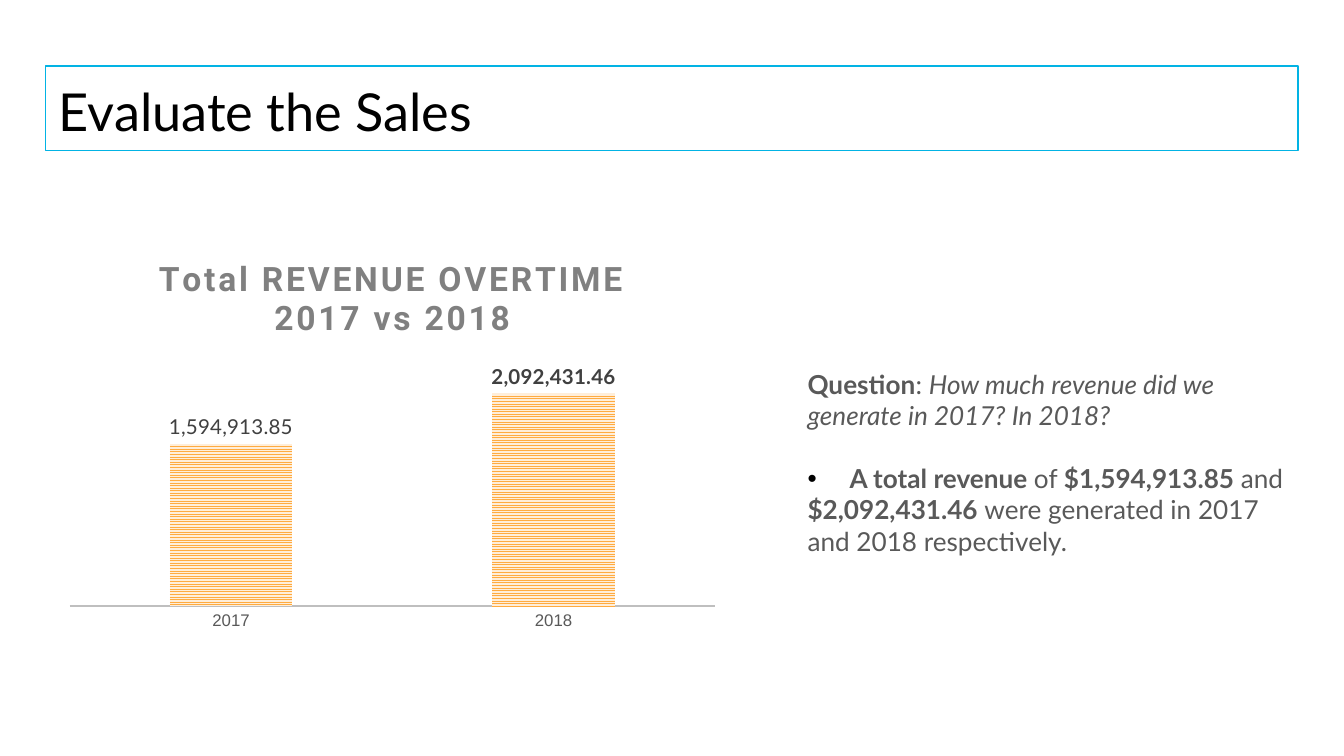
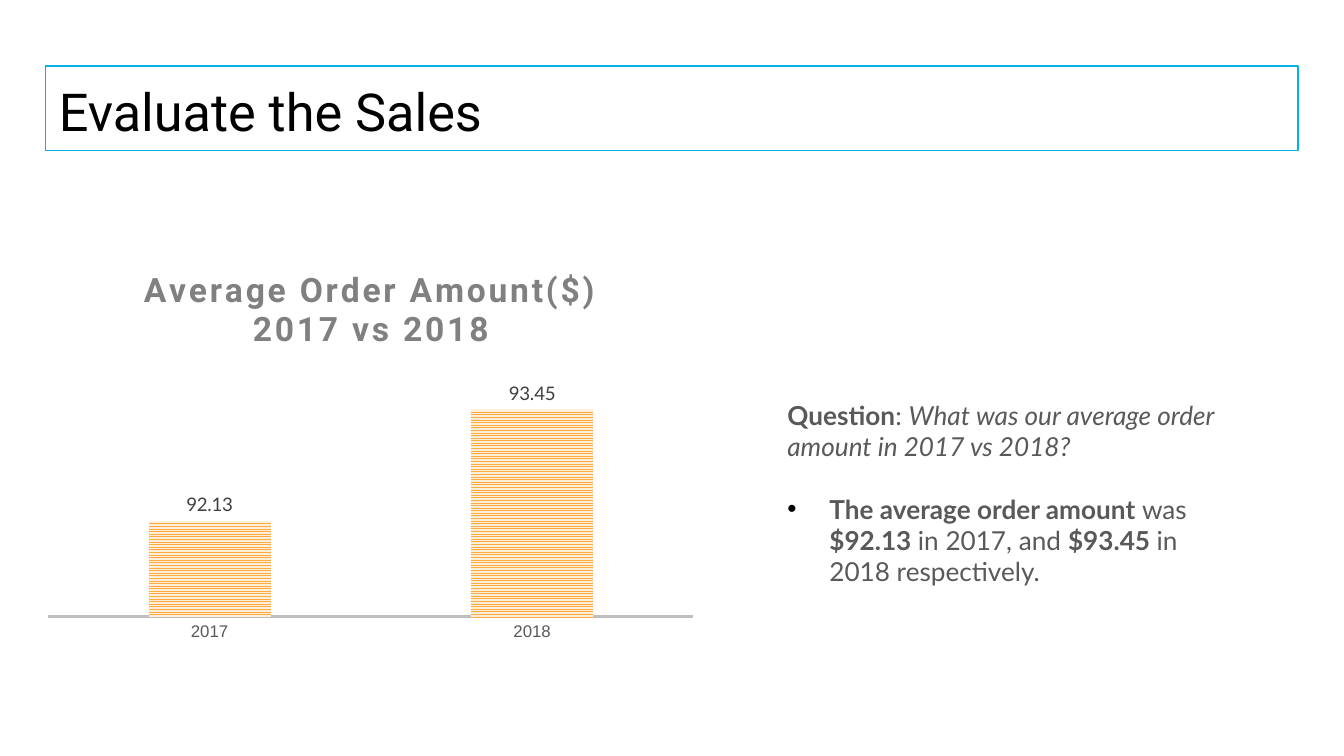
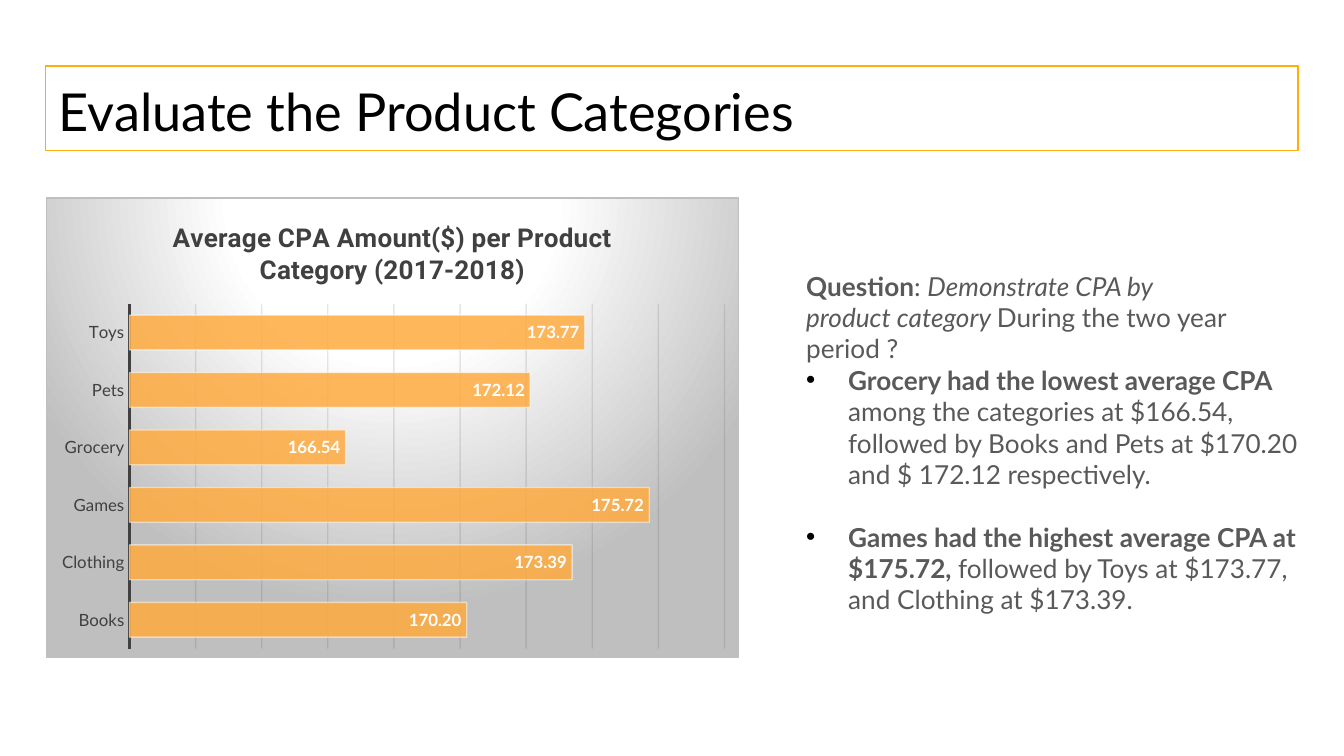
"""Build three sales review slides, each with a framed title, a chart and a comment."""
from lxml.etree import SubElement
from pptx import Presentation
from pptx.chart.data import CategoryChartData
from pptx.dml.color import RGBColor
from pptx.enum.chart import XL_CHART_TYPE, XL_LABEL_POSITION, XL_TICK_LABEL_POSITION, XL_TICK_MARK
from pptx.enum.dml import MSO_PATTERN
from pptx.enum.shapes import MSO_SHAPE
from pptx.enum.text import MSO_ANCHOR, PP_ALIGN
from pptx.oxml import parse_xml
from pptx.oxml.ns import nsdecls, qn
from pptx.util import Pt

BLACK = RGBColor(0x00, 0x00, 0x00)
WHITE = RGBColor(0xFF, 0xFF, 0xFF)
DARK = RGBColor(0x40, 0x40, 0x40)
TEXT = RGBColor(0x59, 0x59, 0x59)
GREY = RGBColor(0x80, 0x80, 0x80)
SILVER = RGBColor(0xBF, 0xBF, 0xBF)
GRID = RGBColor(0x0D, 0x0D, 0x0D)
BLUE = RGBColor(0x02, 0xB3, 0xE4)
GOLD = RGBColor(0xFF, 0xAE, 0x0C)
ORANGE = RGBColor(0xFF, 0xAB, 0x40)
CREAM = RGBColor(0xFF, 0xEE, 0xD9)

FRAME = (24.5, 35.3, 671, 45.4)
FORMAT = "#,##0.00"
GAP = 16.8
INDENT = 22.5

COLUMN = dict(kind=XL_CHART_TYPE.COLUMN_CLUSTERED, gap=164, overlap=-22, spot=XL_LABEL_POSITION.OUTSIDE_END,
              label=dict(font="Lato", color=DARK), axis=dict(font="Arial", color=TEXT), line=SILVER,
              head=dict(font="Roboto", size=18, color=GREY, bold=True, track=150))
BAR = dict(kind=XL_CHART_TYPE.BAR_CLUSTERED, gap=65, overlap=0, spot=XL_LABEL_POSITION.INSIDE_END,
           label=dict(font="Lato", size=9, color=WHITE, bold=True), axis=dict(font="Lato", color=DARK), line=DARK,
           head=dict(font="Roboto", size=14, color=DARK, bold=True))

SLIDES = [
    dict(title="Evaluate the Sales", font="Lato", edge=BLUE, style=COLUMN,
         chart="Total REVENUE OVERTIME 2017 vs 2018", area=(30.2, 126, 360, 216), plot=(0.02, 0.29, 0.96, 0.63),
         data={"2017": 1594913.85, "2018": 2092431.46}, scale=(0, 2500000, 500000), size=11, strong=1,
         box=(425.5, 193.7, 270, 108.7),
         note=[dict(runs=[("Question", "b"), (": ", ""), ("How much revenue did we generate in 2017? In 2018?", "i")]),
               dict(runs=[("A total revenue ", "b"), ("of ", ""), ("$1,594,913.85 ", "b"), ("and", "")],
                    bullet=True, before=GAP),
               dict(runs=[("$2,092,431.46 ", "b"), ("were generated in 2017 and 2018 respectively.", "")])]),
    dict(title="Evaluate the Sales", font="Roboto", edge=BLUE, style=COLUMN,
         chart="Average Order Amount($) 2017 vs 2018", area=(18.7, 131.8, 360, 216), plot=(0.02, 0.29, 0.96, 0.63),
         data={"2017": 92.13, "2018": 93.45}, scale=(91, 94, 0.5), size=10, strong=None,
         box=(414.7, 210.2, 257.8, 108.7),
         note=[dict(runs=[("Question", "b"), (": ", ""), ("What was our average order amount in 2017 vs 2018?", "i")]),
               dict(runs=[("The average order amount ", "b"), ("was ", ""), ("$92.13 ", "b"), ("in 2017, and ", ""),
                          ("$93.45 ", "b"), ("in 2018 respectively.", "")], bullet=True, before=GAP)]),
    dict(title="Evaluate the Product Categories", font="Lato", edge=GOLD, style=BAR,
         chart="Average CPA Amount($) per Product Category (2017-2018)", area=(24.5, 105.8, 371.5, 247),
         plot=(0.12, 0.23, 0.86, 0.75),
         data={"Books": 170.2, "Clothing": 173.39, "Games": 175.72, "Grocery": 166.54, "Pets": 172.12,
               "Toys": 173.77},
         scale=(160, 178, 2), size=9, strong=None, box=(424.8, 141.1, 282.2, 193.7),
         note=[dict(runs=[("Question", "b"), (": ", ""), ("Demonstrate CPA by", "i")]),
               dict(runs=[("product category ", "i"), ("During the two year period ?", "")]),
               dict(runs=[("Grocery had the lowest average CPA ", "b"),
                          ("among the categories at $166.54, followed by Books and Pets at $170.20 "
                           "and $ 172.12 respectively.", "")], bullet=True),
               dict(runs=[("Games had the highest average CPA at $175.72, ", "b"),
                          ("followed by Toys at $173.77, and Clothing at $173.39.", "")],
                    bullet=True, before=GAP)]),
]


def style(font, face, size, color, bold=False, italic=False):
    font.name, font.size, font.bold, font.italic = face, Pt(size), bold, italic
    font.color.rgb = color


def write(para, text, font="Lato", size=14, color=TEXT, bold=False, italic=False, track=None):
    run = para.add_run()
    run.text = text
    style(run.font, font, size, color, bold, italic)
    if track:
        run.font._element.set("spc", str(track))


def add_title(slide, item):
    box = slide.shapes.add_shape(MSO_SHAPE.RECTANGLE, *map(Pt, FRAME))
    box.shadow.inherit = False
    box.fill.background()
    box.line.color.rgb, box.line.width = item["edge"], Pt(0.75)
    frame = box.text_frame
    frame.word_wrap, frame.vertical_anchor = True, MSO_ANCHOR.TOP
    frame.margin_left = frame.margin_right = frame.margin_top = frame.margin_bottom = Pt(7.2)
    para = frame.paragraphs[0]
    para.alignment = PP_ALIGN.LEFT
    write(para, item["title"], font=item["font"], size=28, color=BLACK)


def add_note(slide, item):
    frame = slide.shapes.add_textbox(*map(Pt, item["box"])).text_frame
    frame.word_wrap = True
    for i, part in enumerate(item["note"]):
        para = frame.add_paragraph() if i else frame.paragraphs[0]
        if "before" in part:
            para.space_before = Pt(part["before"])
        if part.get("bullet"):
            props = para._p.get_or_add_pPr()
            props.set("marL", str(Pt(INDENT)))
            props.set("indent", str(-Pt(INDENT)))
            SubElement(SubElement(props, qn("a:buClr")), qn("a:srgbClr"), val=str(BLACK))
            SubElement(props, qn("a:buFont"), typeface="Arial")
            SubElement(props, qn("a:buChar"), char="•")
        for text, mark in part["runs"]:
            write(para, text, bold=mark == "b", italic=mark == "i")


def set_plot(chart, plot):
    area = chart.element.xpath("c:chart/c:plotArea")[0]
    for old in area.xpath("c:layout"):
        area.remove(old)
    parts = "".join(f'<c:{key} val="{val}"/>' for key, val in zip("xywh", plot))
    area.insert(0, parse_xml(
        f'<c:layout {nsdecls("c")}><c:manualLayout><c:layoutTarget val="inner"/>'
        f'<c:xMode val="edge"/><c:yMode val="edge"/>{parts}</c:manualLayout></c:layout>'))


def fade(chart, route, alpha):
    for color in chart.element.xpath(f"c:chart//{route}/a:solidFill/a:srgbClr"):
        SubElement(color, qn("a:alpha"), val=str(alpha * 1000))


def set_glow(chart):
    stops = "".join(f'<a:gs pos="{pos * 1000}"><a:srgbClr val="{color}"/></a:gs>'
                    for pos, color in [(0, WHITE), (39, WHITE), (100, SILVER)])
    chart.element.xpath("c:chart")[0].addnext(parse_xml(
        f'<c:spPr {nsdecls("c", "a")}><a:gradFill><a:gsLst>{stops}</a:gsLst><a:path path="circle">'
        f'<a:fillToRect l="50000" t="-80000" r="50000" b="180000"/></a:path></a:gradFill>'
        f'<a:ln w="{Pt(0.75)}"><a:solidFill><a:srgbClr val="{SILVER}"/></a:solidFill></a:ln></c:spPr>'))


def paint(chart, series, solid):
    fill, values = series.format.fill, chart.value_axis
    values.has_major_gridlines = solid
    if not solid:
        fill.patterned()
        fill.pattern = MSO_PATTERN.NARROW_HORIZONTAL
        fill.fore_color.rgb, fill.back_color.rgb = ORANGE, CREAM
        return
    fill.solid()
    fill.fore_color.rgb = ORANGE
    for line, color in [(series.format.line, WHITE), (values.major_gridlines.format.line, GRID)]:
        line.color.rgb, line.width = color, Pt(0.75)
    fade(chart, "c:ser/c:spPr", 85)
    fade(chart, "c:ser/c:spPr/a:ln", 50)
    fade(chart, "c:majorGridlines/c:spPr/a:ln", 10)
    set_glow(chart)


def add_graph(slide, item):
    look = item["style"]
    data = CategoryChartData(number_format=FORMAT)
    data.categories = list(item["data"])
    data.add_series("Series 1", list(item["data"].values()))
    chart = slide.shapes.add_chart(look["kind"], *map(Pt, item["area"]), data).chart
    style(chart.font, "Arial", 10, BLACK)
    chart.has_legend = False
    chart.has_title = True
    write(chart.chart_title.text_frame.paragraphs[0], item["chart"], **look["head"])
    chart.chart_title.include_in_layout = False
    set_plot(chart, item["plot"])

    cats, values = chart.category_axis, chart.value_axis
    for axis in (cats, values):
        axis.major_tick_mark = axis.minor_tick_mark = XL_TICK_MARK.NONE
        style(axis.tick_labels.font, look["axis"]["font"], 9, look["axis"]["color"])
    cats.format.line.color.rgb, cats.format.line.width = look["line"], Pt(1.5)
    values.format.line.fill.background()
    values.tick_label_position = XL_TICK_LABEL_POSITION.NONE
    values.minimum_scale, values.maximum_scale, values.major_unit = item["scale"]

    plot = chart.plots[0]
    plot.gap_width, plot.overlap, plot.vary_by_categories = look["gap"], look["overlap"], False
    series = plot.series[0]
    series.invert_if_negative = False
    paint(chart, series, look is BAR)
    labels, form = series.data_labels, look["label"]
    labels.show_value, labels.position = True, look["spot"]
    labels.number_format, labels.number_format_is_linked = FORMAT, False
    style(labels.font, form["font"], item["size"], form["color"], form.get("bold", False))
    if item["strong"] is not None:
        label = series.points[item["strong"]].data_label
        style(label.font, form["font"], item["size"], form["color"], True)
        label.position = look["spot"]


def main():
    deck = Presentation()
    deck.slide_width, deck.slide_height = Pt(720), Pt(405)
    for item in SLIDES:
        slide = deck.slides.add_slide(deck.slide_layouts[6])
        add_title(slide, item)
        add_graph(slide, item)
        add_note(slide, item)
    deck.save("out.pptx")


if __name__ == "__main__":
    main()
